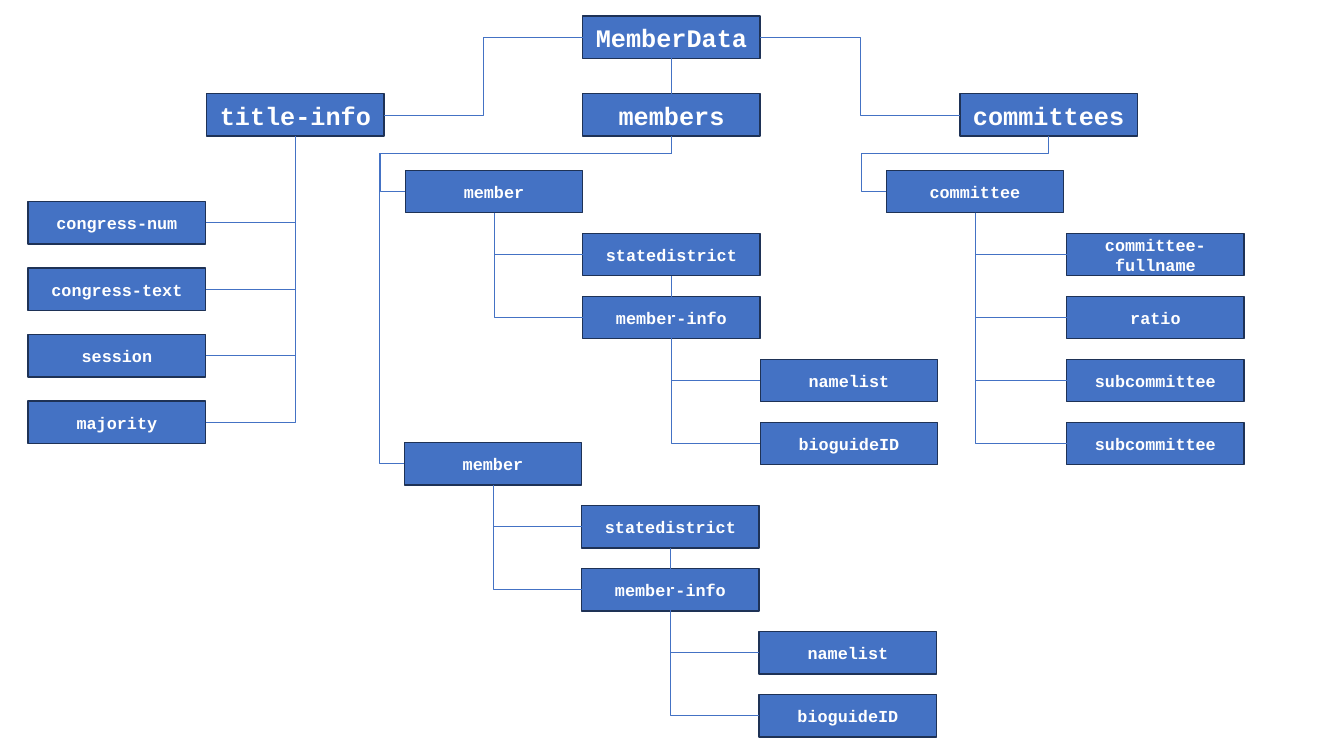
import lxml.etree
import pptx
import pptx.dml.color
import pptx.enum.shapes
import pptx.enum.text
import pptx.oxml.ns
import pptx.util

SLIDE_WIDTH, SLIDE_HEIGHT = 13.33, 7.5
BOX_WIDTH, BOX_HEIGHT = 1.76, 0.42
ROW = SLIDE_HEIGHT / 12
LEVEL_TOP, FIRST_ROW = 0.93, 1.69
CENTER_LEFT = 5.78
FONT = "Courier New"
FILL, BORDER, WHITE = "4472C4", "1E3256", "FFFFFF"
TOP, LEFT, BOTTOM, RIGHT = range(4)  # connection sites of a rectangle
STUB, DROP = 0.25, 0.17


def color(value):
    return pptx.dml.color.RGBColor.from_string(value)


def add_box(slide, text, left, top, size=12):
    shape = slide.shapes.add_shape(
        pptx.enum.shapes.MSO_SHAPE.RECTANGLE,
        *map(pptx.util.Inches, (left, top, BOX_WIDTH, BOX_HEIGHT)))
    shape.shadow.inherit = False
    shape.fill.solid()
    shape.fill.fore_color.rgb = color(FILL)
    shape.line.color.rgb = color(BORDER)
    shape.line.width = pptx.util.Pt(1)
    frame = shape.text_frame
    frame.word_wrap = True
    frame.vertical_anchor = pptx.enum.text.MSO_ANCHOR.MIDDLE
    paragraph = frame.paragraphs[0]
    paragraph.text = text
    paragraph.alignment = pptx.enum.text.PP_ALIGN.CENTER
    paragraph.font.name = FONT
    paragraph.font.size = pptx.util.Pt(size)
    paragraph.font.bold = True
    paragraph.font.color.rgb = color(WHITE)
    return shape


def add_link(slide, start, start_site, end, end_site, straight=False):
    kinds = pptx.enum.shapes.MSO_CONNECTOR
    connector = slide.shapes.add_connector(
        kinds.STRAIGHT if straight else kinds.ELBOW, 0, 0, 0, 0)
    connector.begin_connect(start, start_site)
    connector.end_connect(end, end_site)
    connector.line.color.rgb = color(FILL)
    connector.line.width = pptx.util.Pt(0.5)
    lxml.etree.SubElement(connector._element.spPr, pptx.oxml.ns.qn("a:effectLst"))
    return connector


def bend(connector, preset, rotation=0, flip=None, adjustments=()):
    """Give an elbow its preset route, keeping both of its ends in place."""
    properties = connector._element.spPr
    geometry = properties.find(pptx.oxml.ns.qn("a:prstGeom"))
    geometry.set("prst", preset)
    guides = geometry.find(pptx.oxml.ns.qn("a:avLst"))
    for number, share in enumerate(adjustments, 1):
        lxml.etree.SubElement(guides, pptx.oxml.ns.qn("a:gd"), name=f"adj{number}",
                              fmla=f"val {round(share * 100000)}")
    if rotation % 180:
        left, top = connector.left, connector.top
        width, height = connector.width, connector.height
        connector.left = left + (width - height) // 2
        connector.top = top + (height - width) // 2
        connector.width, connector.height = height, width
    transform = properties.find(pptx.oxml.ns.qn("a:xfrm"))
    for name in ("flipH", "flipV"):
        transform.attrib.pop(name, None)
    if rotation:
        transform.set("rot", str(rotation * 60000))
    if flip:
        transform.set(flip, "1")


def hang_right(slide, parent, child):
    """Link the bottom of the parent to the left side of a child."""
    bend(add_link(slide, parent, BOTTOM, child, LEFT), "bentConnector2", 270, "flipH")


def hang_left(slide, parent, child):
    """Link the right side of a child to the bottom of the parent."""
    bend(add_link(slide, child, RIGHT, parent, BOTTOM), "bentConnector2", 0, "flipV")


def wrap_around(slide, parent, child):
    """Link the left side of a child to the parent above, round the child's corner."""
    connector = add_link(slide, child, LEFT, parent, BOTTOM)
    adjustments = (-pptx.util.Inches(STUB) / connector.width,
                   1 - pptx.util.Inches(DROP) / connector.height)
    bend(connector, "bentConnector4", 180, "flipH", adjustments)


def add_member(slide, members, left, top):
    labels = [("member", 0), ("statedistrict", 1), ("member-info", 1),
              ("namelist", 2), ("bioguideID", 2)]
    member, district, info, names, identifier = [
        add_box(slide, text, left + column * BOX_WIDTH, top + row * ROW)
        for row, (text, column) in enumerate(labels)]
    wrap_around(slide, members, member)
    for parent, child in ((member, district), (member, info),
                          (district, names), (info, identifier)):
        hang_right(slide, parent, child)


def add_committee(slide, committees):
    committee = add_box(slide, "committee", 8.79, FIRST_ROW)
    wrap_around(slide, committees, committee)
    details = ("committee-fullname", "ratio", "subcommittee", "subcommittee")
    for row, text in enumerate(details, 1):
        hang_right(slide, committee, add_box(slide, text, 10.58, FIRST_ROW + row * ROW))


def main():
    presentation = pptx.Presentation()
    presentation.slide_width = pptx.util.Inches(SLIDE_WIDTH)
    presentation.slide_height = pptx.util.Inches(SLIDE_HEIGHT)
    slide = presentation.slides.add_slide(presentation.slide_layouts[6])

    root = add_box(slide, "MemberData", CENTER_LEFT, 0.16, 18)
    title_info, members, committees = [
        add_box(slide, text, left, LEVEL_TOP, 18)
        for text, left in (("title-info", 2.05), ("members", CENTER_LEFT),
                           ("committees", 9.52))]
    bend(add_link(slide, root, LEFT, title_info, RIGHT), "bentConnector3", 180, "flipV")
    add_link(slide, root, BOTTOM, members, TOP, straight=True)
    bend(add_link(slide, root, RIGHT, committees, LEFT), "bentConnector3")

    for row, text in enumerate(("congress-num", "congress-text", "session", "majority")):
        hang_left(slide, title_info, add_box(slide, text, 0.28, 2 + row * 0.66))
    for left, top in ((4.02, FIRST_ROW), (4.01, 4.39)):
        add_member(slide, members, left, top)
    add_committee(slide, committees)

    presentation.save("out.pptx")


if __name__ == "__main__":
    main()
